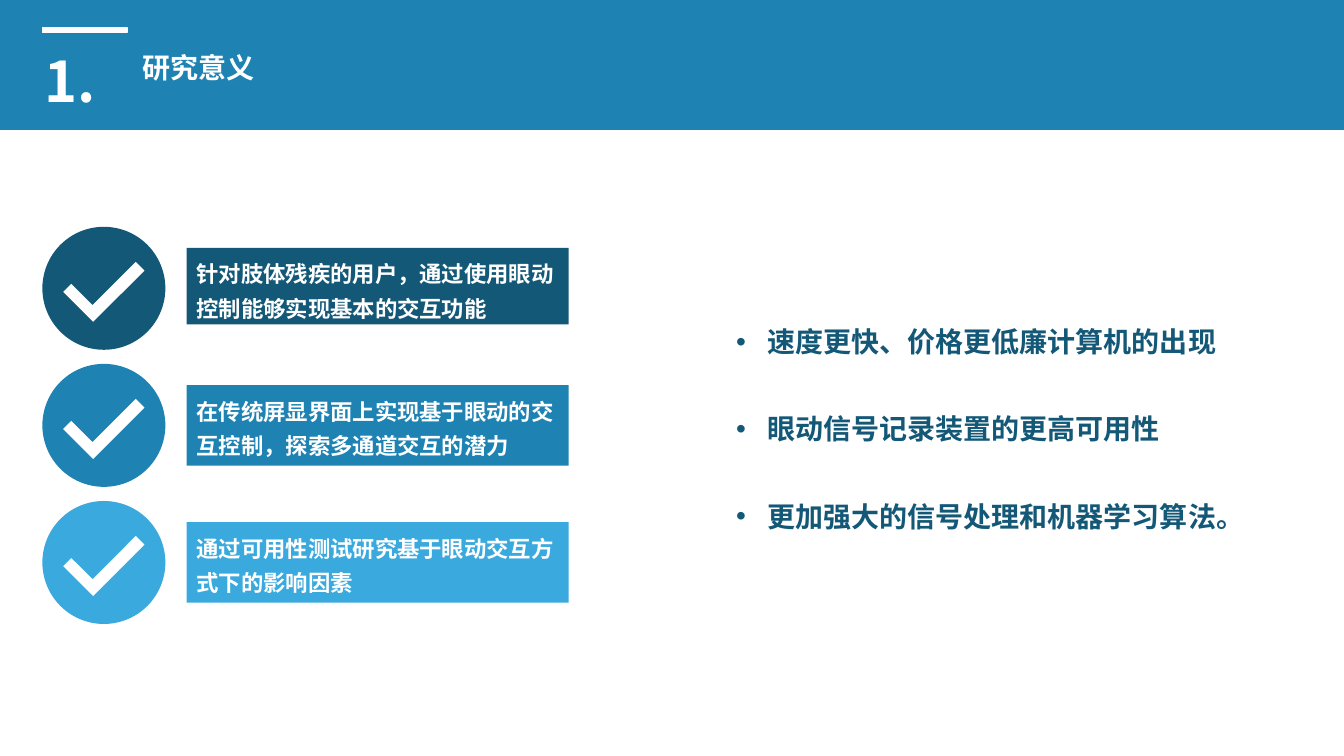
from lxml.etree import SubElement
from pptx import Presentation
from pptx.dml.color import RGBColor
from pptx.enum.shapes import MSO_SHAPE as SHAPE
from pptx.enum.text import MSO_ANCHOR as ANCHOR, MSO_AUTO_SIZE as FIT, PP_ALIGN as ALIGN
from pptx.oxml.ns import qn
from pptx.util import Inches, Pt

FONT = "Noto Sans CJK SC"
COLORS = {"blue": "1E83B3", "dark": "145878", "light": "39A9DE",
          "white": "FFFFFF", "rule": "FFFDFD"}
NUMBER, TITLE = "1.", "研究意义"
# text, colour, label height
GOALS = [
    ("针对肢体残疾的用户，通过使用眼动控制能够实现基本的交互功能", "dark", 0.76),
    ("在传统屏显界面上实现基于眼动的交互控制，探索多通道交互的潜力", "blue", 0.8),
    ("通过可用性测试研究基于眼动交互方式下的影响因素", "light", 0.8),
]
REASONS = [
    "速度更快、价格更低廉计算机的出现",
    "眼动信号记录装置的更高可用性",
    "更加强大的信号处理和机器学习算法。",
]
GOAL_TOP, GOAL_STEP = 2.25, 1.36


def rgb(name):
    return RGBColor.from_string(COLORS[name])


def place(s, x, y, w, h):
    s.left, s.top, s.width, s.height = map(Inches, (x, y, w, h))


def add_shape(shapes, kind, x, y, w, h, color):
    s = shapes.add_shape(kind, *map(Inches, (x, y, w, h)))
    s.shadow.inherit = False
    s.fill.solid()
    s.fill.fore_color.rgb = rgb(color)
    s.line.fill.background()
    return s


def set_text(tf, lines, size, color, spacing, wrap=True, top=0.05):
    tf.auto_size = FIT.NONE
    tf.word_wrap = wrap
    tf.vertical_anchor = ANCHOR.TOP
    tf.margin_left = tf.margin_right = Inches(0.1)
    tf.margin_top, tf.margin_bottom = Inches(top), Inches(0.05)
    for i, line in enumerate(lines):
        p = tf.paragraphs[0] if i == 0 else tf.add_paragraph()
        p.text = line
        p.alignment = ALIGN.LEFT
        p.line_spacing = Pt(spacing)
        p.space_before = Pt(spacing if i else 0)
        p.font.size, p.font.bold, p.font.name = Pt(size), True, FONT
        p.font.color.rgb = rgb(color)
        rPr = p.runs[0].font._element
        SubElement(rPr, qn("a:ea")).set("typeface", FONT)


prs = Presentation()
prs.slide_width, prs.slide_height = Inches(13.33), Inches(7.5)
slide = prs.slides.add_slide(prs.slide_layouts[1])
shapes = slide.shapes

# Blue header band above a white page
slide.background.fill.solid()
slide.background.fill.fore_color.rgb = rgb("blue")
page = add_shape(shapes, SHAPE.RECTANGLE, 0, 1.29, 13.33, 6.21, "white")
shapes._spTree.insert(2, page._element)

# Title, section number and rule
place(shapes.title, 1.31, 0.32, 1.32, 0.54)
set_text(shapes.title.text_frame, [TITLE], 20, "white", 31.5, wrap=False, top=0.08)
number = shapes.add_textbox(*map(Inches, (0.34, 0.17, 1, 0.88)))
set_text(number.text_frame, [NUMBER], 40, "white", 56, wrap=False, top=0.18)
rule = add_shape(shapes, SHAPE.RECTANGLE, 0.42, 0.27, 0.84, 0.05, "rule")
rule.line.color.rgb = rgb("rule")
rule.line.width = Pt(1)

# Goals: tick in a disc, with a label
for i, (text, color, height) in enumerate(GOALS):
    y = GOAL_TOP + i * GOAL_STEP
    badge = shapes.add_group_shape().shapes
    add_shape(badge, SHAPE.OVAL, 0.42, y, 1.22, 1.22, color)
    tick = add_shape(badge, SHAPE.CORNER, 0.67, y + 0.33, 0.72, 0.42, "white")
    tick.adjustments[0], tick.adjustments[1] = 0.29, 0.27
    tick.rotation = 315
    label = add_shape(shapes, SHAPE.RECTANGLE, 1.85, y + 0.21, 3.79, height, color)
    set_text(label.text_frame, [text], 16, "white", 24.7)

# Reasons: bulleted list
body = slide.placeholders[1]
place(body, 7.2, 3.07, 5.31, 2.29)
set_text(body.text_frame, REASONS, 20, "dark", 31.2)
for p in body.text_frame.paragraphs:
    pPr = p._p.get_or_add_pPr()
    pPr.set("marL", str(Inches(0.31)))
    pPr.set("indent", str(Inches(-0.31)))

prs.save("out.pptx")
